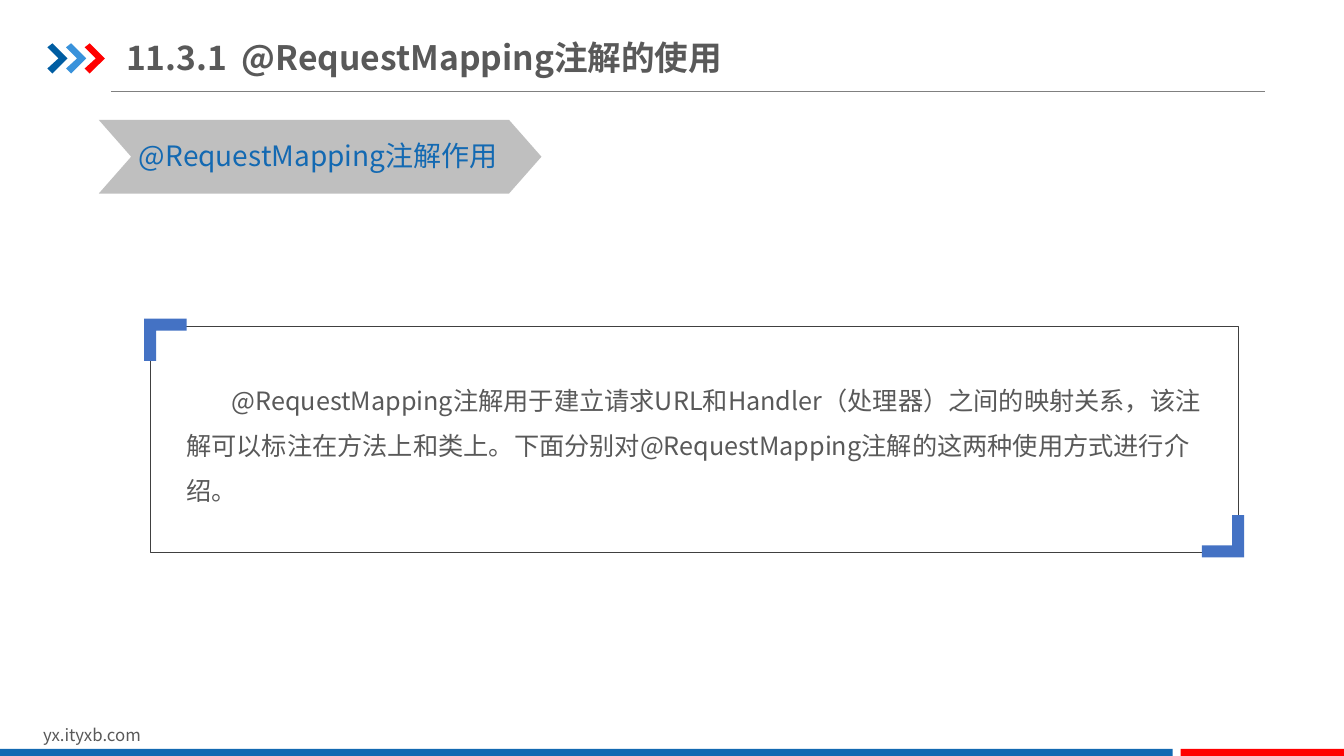
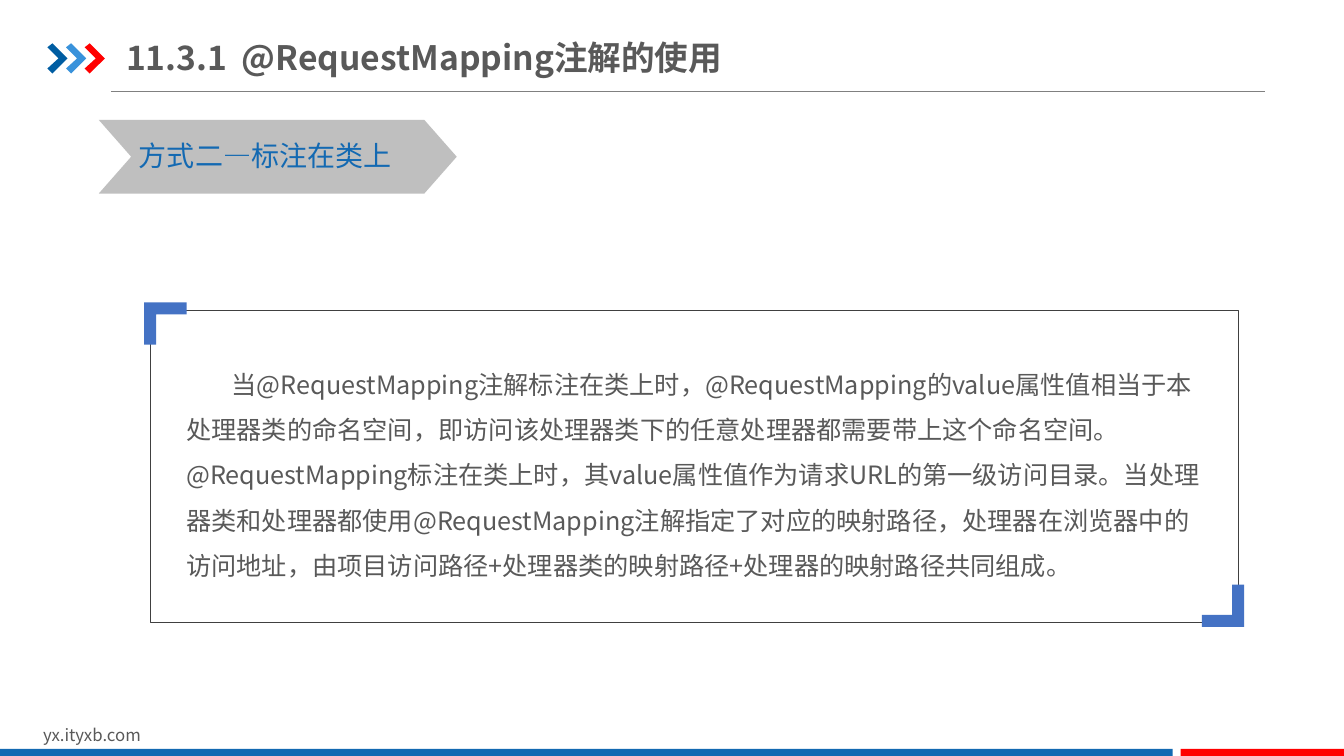
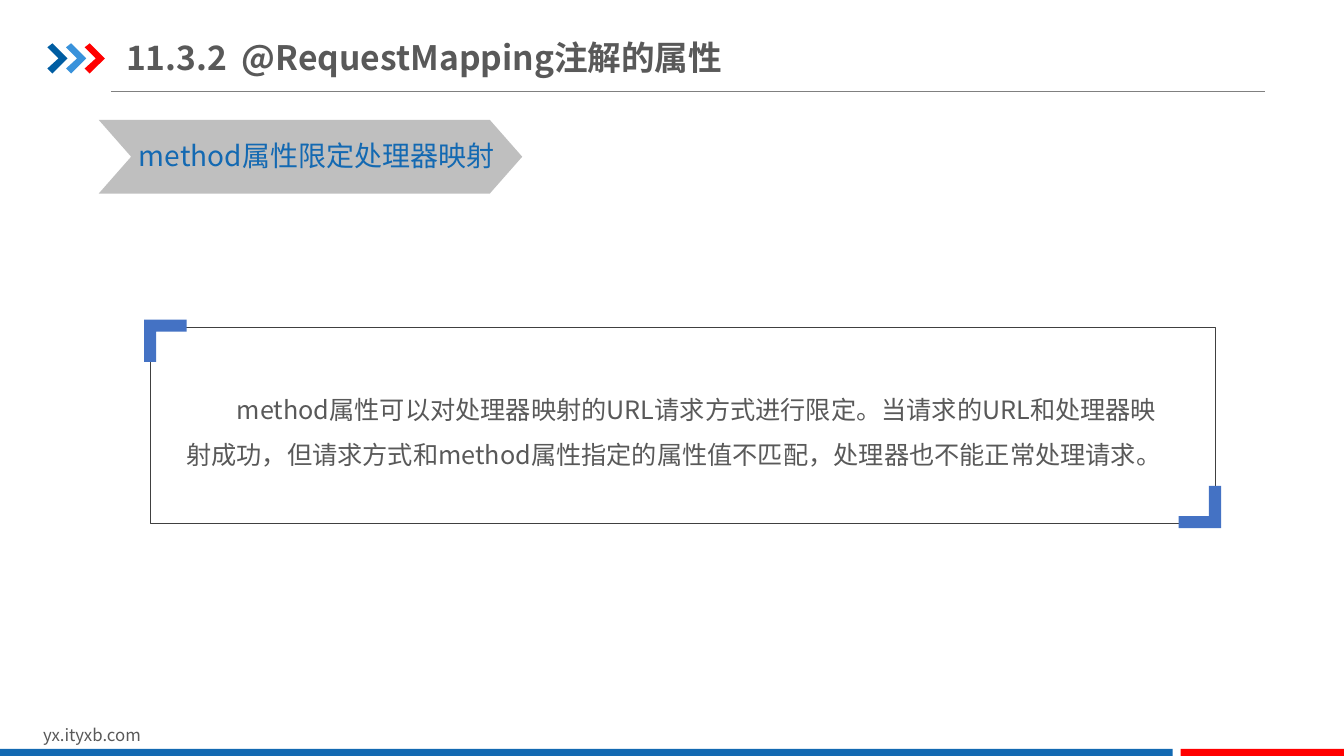
from pptx import Presentation
from pptx.dml.color import RGBColor
from pptx.enum.shapes import MSO_CONNECTOR as Wire, MSO_SHAPE as Kind
from pptx.enum.text import MSO_ANCHOR as Anchor, MSO_AUTO_SIZE as Fit, PP_ALIGN as Align
from pptx.oxml.ns import qn
from pptx.util import Inches, Pt
from lxml.etree import SubElement

BLUE = RGBColor(0x13, 0x69, 0xB2)
NAVY = RGBColor(0x00, 0x5D, 0xA2)
SKY = RGBColor(0x39, 0x92, 0xDB)
RED = RGBColor(0xFF, 0x00, 0x00)
ROYAL = RGBColor(0x44, 0x72, 0xC4)
INK = RGBColor(0x59, 0x59, 0x59)
DARK = RGBColor(0x40, 0x40, 0x40)
GREY = RGBColor(0x80, 0x80, 0x80)
SILVER = RGBColor(0xBF, 0xBF, 0xBF)
FONT = "Noto Sans CJK SC"


def write(frame, text, size=18, color=INK, bold=False, space=None,
          indent=0, tab=0, inset=(0.1, 0.05), anchor=Anchor.TOP):
    """Fill a text frame with one formatted paragraph."""
    frame.word_wrap = True
    frame.auto_size = Fit.NONE
    frame.vertical_anchor = anchor
    frame.margin_left = frame.margin_right = Inches(inset[0])
    frame.margin_top = frame.margin_bottom = Inches(inset[1])
    para = frame.paragraphs[0]
    props = para._p.get_or_add_pPr()
    if indent:
        props.set("marL", "0")
        props.set("indent", str(Inches(indent)))
    if tab:
        stops = SubElement(props, qn("a:tabLst"))
        SubElement(stops, qn("a:tab"), pos=str(Inches(tab)), algn="l")
    para.alignment = Align.LEFT
    if space:
        para.line_spacing = space
    run = para.add_run()
    run.text = text
    font = run.font
    font.size, font.bold, font.name = Pt(size), bold, FONT
    font.color.rgb = color
    SubElement(run._r.get_or_add_rPr(), qn("a:ea"), typeface=FONT)


class Deck:
    """Hold the shared style and the current slide."""

    def __init__(self):
        """Start an empty wide deck."""
        self.file = Presentation()
        self.file.slide_width = Inches(13.33)
        self.file.slide_height = Inches(7.5)
        self.slide = None

    def shape(self, kind, x, y, w, h, fill):
        """Add a preset shape with a plain fill."""
        item = self.slide.shapes.add_shape(kind, Inches(x), Inches(y), Inches(w), Inches(h))
        return self.paint(item, fill)

    def paint(self, item, fill):
        """Give a shape a plain fill without line or shadow."""
        item.shadow.inherit = False
        item.line.fill.background()
        if fill is None:
            item.fill.background()
        else:
            item.fill.solid()
            item.fill.fore_color.rgb = fill
        return item

    def outline(self, points, fill):
        """Add a closed polygon."""
        spots = [(Inches(x), Inches(y)) for x, y in points]
        pen = self.slide.shapes.build_freeform(*spots[0])
        pen.add_line_segments(spots[1:], close=True)
        self.paint(pen.convert_to_shape(), fill)

    def text(self, x, y, w, h, text, **form):
        """Add a text box."""
        box = self.slide.shapes.add_textbox(Inches(x), Inches(y), Inches(w), Inches(h))
        write(box.text_frame, text, **form)

    def rule(self, x, y, end):
        """Add the thin line below the title."""
        line = self.slide.shapes.add_connector(
            Wire.STRAIGHT, Inches(x), Inches(y), Inches(end), Inches(y))
        line.line.color.rgb = GREY
        line.line.width = Pt(0.5)
        SubElement(line._element.spPr, qn("a:effectLst"))

    def page(self, title):
        """Start a slide with its title, arrows and footer."""
        self.slide = self.file.slides.add_slide(self.file.slide_layouts[5])
        self.rule(1.1, 0.91, 12.55)
        arrow = [(0, 0.04), (0.05, 0), (0.2, 0.15), (0.05, 0.3), (0, 0.25), (0.11, 0.15)]
        for step, color in enumerate((NAVY, SKY, RED)):
            left = 0.47 + 0.185 * step
            self.outline([(left + x, 0.43 + y) for x, y in arrow], color)
        self.text(0.33, 7.14, 3.18, 0.3, "yx.ityxb.com", size=12)
        self.shape(Kind.RECTANGLE, 0, 7.43, 11.63, 0.07, BLUE)
        self.shape(Kind.RECTANGLE, 11.71, 7.43, 1.62, 0.07, RED)
        head = self.slide.shapes.title
        head.left, head.top = Inches(1.25), Inches(0.29)
        head.width, head.height = Inches(6.4), Inches(0.55)
        write(head.text_frame, title, size=24, bold=True, tab=1.15,
              inset=(0, 0.07), anchor=Anchor.MIDDLE)

    def banner(self, text, width):
        """Add the grey chevron with its label."""
        sign = self.shape(Kind.CHEVRON, 0.98, 1.19, width, 0.73, SILVER)
        sign.adjustments[0] = 0.44
        self.text(1.28, 1.33, width - 0.3, 0.44, text, size=20, color=BLUE)

    def corner(self, x, y, way):
        """Add an angle mark that opens right and down, or left and up."""
        marks = [(0, 0), (0.42, 0), (0.42, 0.12), (0.12, 0.12), (0.12, 0.42), (0, 0.42)]
        self.outline([(x + way * a, y + way * b) for a, b in marks], ROYAL)

    def panel(self, text, top, width, height, drop=0.38, trim=0.52, indent=0.45):
        """Add body text in a thin frame with two marked corners."""
        left = 1.49
        self.text(left + 0.26, top + drop, width - trim, height - 0.7, text,
                  space=1.5, indent=indent)
        frame = self.shape(Kind.RECTANGLE, left, top, width, height, None)
        frame.line.color.rgb = DARK
        frame.line.width = Pt(0.25)
        self.corner(left - 0.06, top - 0.08, 1)
        self.corner(left + width + 0.06, top + height + 0.05, -1)


def main():
    """Build the three slides."""
    deck = Deck()

    deck.page("11.3.1\t@RequestMapping注解的使用")
    deck.banner("@RequestMapping注解作用", 4.39)
    deck.panel("@RequestMapping注解用于建立请求URL和Handler（处理器）之间的映射关系，"
               "该注解可以标注在方法上和类上。下面分别对@RequestMapping注解的这两种使用方式进行介绍。",
               3.24, 10.79, 2.24)

    deck.page("11.3.1\t@RequestMapping注解的使用")
    deck.banner("方式二—标注在类上", 3.55)
    deck.panel("当@RequestMapping注解标注在类上时，@RequestMapping的value属性值相当于本处理器类的命名空间，"
               "即访问该处理器类下的任意处理器都需要带上这个命名空间。"
               "@RequestMapping标注在类上时，其value属性值作为请求URL的第一级访问目录。"
               "当处理器类和处理器都使用@RequestMapping注解指定了对应的映射路径，处理器在浏览器中的访问地址，"
               "由项目访问路径+处理器类的映射路径+处理器的映射路径共同组成。",
               3.08, 10.79, 3.09)

    deck.page("11.3.2\t@RequestMapping注解的属性")
    deck.banner("method属性限定处理器映射", 4.2)
    deck.panel("method属性可以对处理器映射的URL请求方式进行限定。当请求的URL和处理器映射成功，"
               "但请求方式和method属性指定的属性值不匹配，处理器也不能正常处理请求。",
               3.25, 10.56, 1.94, drop=0.46, trim=0.62, indent=0.5)

    deck.file.save("out.pptx")


if __name__ == "__main__":
    main()
